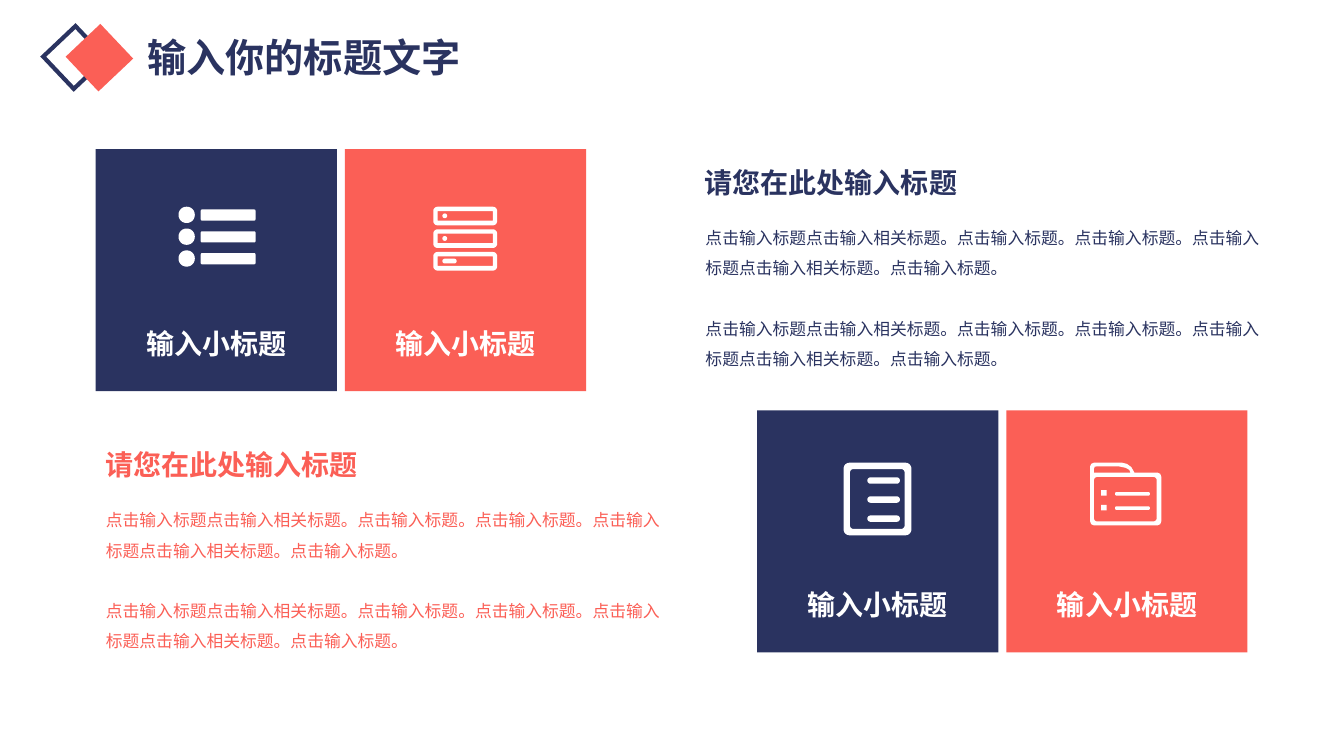
import math
from dataclasses import dataclass
from typing import NamedTuple

import pptx
import pptx.dml.color
import pptx.enum.shapes
import pptx.enum.text
import pptx.util
from lxml import etree
from pptx.oxml.ns import qn

Cm = pptx.util.Cm
Pt = pptx.util.Pt
RGB = pptx.dml.color.RGBColor
Kind = pptx.enum.shapes.MSO_SHAPE
Align = pptx.enum.text.PP_ALIGN


@dataclass(frozen=True)
class Theme:
    font: str = "Noto Sans CJK SC"
    navy: RGB = RGB(0x2A, 0x33, 0x60)
    coral: RGB = RGB(0xFB, 0x5F, 0x56)
    white: RGB = RGB(0xFF, 0xFF, 0xFF)
    title: int = 28
    head: int = 20
    body: int = 12
    gap: float = 21.7  # space between body paragraphs


THEME = Theme()


class Box(NamedTuple):
    x: float
    y: float
    w: float
    h: float
    r: float = 0  # corner radius

    def points(self) -> list:
        if not self.r:
            return [(self.x, self.y), (self.x + self.w, self.y),
                    (self.x + self.w, self.y + self.h), (self.x, self.y + self.h)]
        pts = []
        for corner in range(4):
            cx = self.x + (self.w - self.r if corner in (0, 3) else self.r)
            cy = self.y + (self.h - self.r if corner in (0, 1) else self.r)
            for step in range(7):
                turn = math.radians(corner * 90 + step * 15)
                pts.append((cx + self.r * math.cos(turn), cy + self.r * math.sin(turn)))
        return pts


@dataclass(frozen=True)
class Icon:
    x: float
    y: float
    forms: list  # boxes or point lists; nested forms cut holes


@dataclass(frozen=True)
class Card:
    x: float
    y: float
    color: RGB
    icon: Icon


@dataclass(frozen=True)
class Block:
    x: float
    y: float
    color: RGB


CARD_W, CARD_H, PITCH = 6.08, 6.1, 6.28
LABEL = "输入小标题"
HEAD = "请您在此处输入标题"
BODY = "点击输入标题点击输入相关标题。点击输入标题。点击输入标题。点击输入标题点击输入相关标题。点击输入标题。"

# Icons, in cm from their own top left corner
BULLETS = Icon(4.5, 5.21, [
    form for i in range(3) for form in (
        Box(0, 0.55 * i, 0.41, 0.41, 0.2), Box(0.56, 0.55 * i + 0.07, 1.38, 0.28, 0.03))])
SERVER = Icon(10.92, 5.21, [
    form for i in range(3) for form in (
        Box(0, 0.57 * i, 1.61, 0.47, 0.11), Box(0.11, 0.57 * i + 0.11, 1.39, 0.24),
        Box(0.23, 0.57 * i + 0.17, 0.36 if i == 2 else 0.12, 0.12, 0.06))])
BOOK = Icon(21.26, 11.66, [
    Box(0, 0, 1.71, 1.83, 0.15), Box(0.16, 0.16, 1.38, 1.51, 0.09),
    *(Box(0.6, 0.37 + 0.48 * i, 0.82, 0.16, 0.08) for i in range(3))])
FOLDER = Icon(27.47, 11.66, [
    [(0.03, 0.03), (0.1, 0), (0.81, 0), (0.93, 0.03), (1.04, 0.11), (1.12, 0.25),
     (1.7, 0.25), (1.77, 0.28), (1.8, 0.36), (1.8, 1.47), (1.77, 1.55), (1.7, 1.58),
     (0.1, 1.58), (0.03, 1.55), (0, 1.47), (0, 0.1)],
    [(0.1, 0.15), (0.12, 0.1), (0.2, 0.09), (0.71, 0.09), (0.9, 0.13),
     (0.99, 0.18), (1.02, 0.25), (0.1, 0.25)],
    Box(0.1, 0.36, 1.58, 1.12, 0.08),
    *(Box(0.28, 0.69 + 0.37 * i, 0.14, 0.14) for i in range(2)),
    *(Box(0.63, 0.74 + 0.36 * i, 0.88, 0.09, 0.04) for i in range(2))])

CARDS = [
    Card(2.41, 3.76, THEME.navy, BULLETS),
    Card(2.41 + PITCH, 3.76, THEME.coral, SERVER),
    Card(19.08, 10.34, THEME.navy, BOOK),
    Card(19.08 + PITCH, 10.34, THEME.coral, FOLDER),
]
BLOCKS = [Block(17.78, 5.49, THEME.navy), Block(2.67, 12.6, THEME.coral)]


def add_run(para, text: str, size: int, color: RGB, bold: bool = True) -> None:
    run = para.add_run()
    run.text = text
    run.font.size = Pt(size)
    run.font.bold = bold
    run.font.color.rgb = color
    run.font.name = THEME.font
    east = etree.SubElement(run.font._element, qn("a:ea"))
    east.set("typeface", THEME.font)


def set_frame(shape, box: Box):
    shape.left, shape.top, shape.width, shape.height = map(Cm, box[:4])
    frame = shape.text_frame
    frame.word_wrap = True
    frame.auto_size = pptx.enum.text.MSO_AUTO_SIZE.NONE
    frame.vertical_anchor = pptx.enum.text.MSO_ANCHOR.TOP
    frame.margin_left = frame.margin_right = Cm(0.25)
    frame.margin_top = frame.margin_bottom = Cm(0.13)
    return frame


def add_text(slide, box: Box):
    return set_frame(slide.shapes.add_textbox(*map(Cm, box[:4])), box)


def add_rect(slide, box: Box):
    rect = slide.shapes.add_shape(Kind.RECTANGLE, *map(Cm, box[:4]))
    rect.shadow.inherit = False
    rect.fill.background()
    rect.line.fill.background()
    return rect


def fill_in(shape, color: RGB) -> None:
    shape.fill.solid()
    shape.fill.fore_color.rgb = color


def add_gem(slide, box: Box, color: RGB, width: float):
    gem = add_rect(slide, box)
    gem.rotation = 46.6
    gem.line.color.rgb = color
    gem.line.width = Pt(width)
    etree.SubElement(gem.line._ln, qn("a:miter")).set("lim", "800000")
    return gem


def add_icon(slide, icon: Icon) -> None:
    rings = [[(Cm(icon.x + x), Cm(icon.y + y))
              for x, y in (form.points() if isinstance(form, Box) else form)]
             for form in icon.forms]
    pen = slide.shapes.build_freeform(*rings[0][0])
    for i, pts in enumerate(rings):
        if i:
            pen.move_to(*pts[0])
        pen.add_line_segments(pts[1:], close=True)
    shape = pen.convert_to_shape()
    shape.shadow.inherit = False
    fill_in(shape, THEME.white)
    shape.line.fill.background()


def add_card(slide, card: Card) -> None:
    fill_in(add_rect(slide, Box(card.x, card.y, CARD_W, CARD_H)), card.color)
    add_icon(slide, card.icon)
    frame = add_text(slide, Box(card.x + 0.29, card.y + 4.34, 5.51, 1.12))
    frame.paragraphs[0].alignment = Align.CENTER
    add_run(frame.paragraphs[0], LABEL, THEME.head, THEME.white)


def add_block(slide, block: Block) -> None:
    frame = add_text(slide, Box(block.x - 0.27, block.y - 1.45, 9, 1.12))
    add_run(frame.paragraphs[0], HEAD, THEME.head, block.color)
    frame = add_text(slide, Box(block.x, block.y, 14.25, 3.76))
    frame.margin_left = frame.margin_right = frame.margin_top = frame.margin_bottom = 0
    first, second = frame.paragraphs[0], frame.add_paragraph()
    second.space_before = Pt(THEME.gap)
    for para in (first, second):
        para.line_spacing = 1.5
        add_run(para, BODY, THEME.body, block.color, bold=False)


def main() -> None:
    deck = pptx.Presentation()
    deck.slide_width, deck.slide_height = Cm(33.87), Cm(19.05)
    slide = deck.slides.add_slide(deck.slide_layouts[5])

    # Title and its two diamonds
    add_gem(slide, Box(1.32, 0.89, 1.12, 1.12), THEME.navy, 3)
    fill_in(add_gem(slide, Box(2.07, 1.02, 0.87, 0.87), THEME.coral, 9.5), THEME.coral)
    para = set_frame(slide.shapes.title, Box(1.88, 0.71, 11.56, 1.45)).paragraphs[0]
    para.alignment = Align.CENTER
    add_run(para, "输入你的标题文字", THEME.title, THEME.navy)

    # Cards and text blocks
    for card in CARDS:
        add_card(slide, card)
    for block in BLOCKS:
        add_block(slide, block)
    deck.save("out.pptx")


if __name__ == "__main__":
    main()
